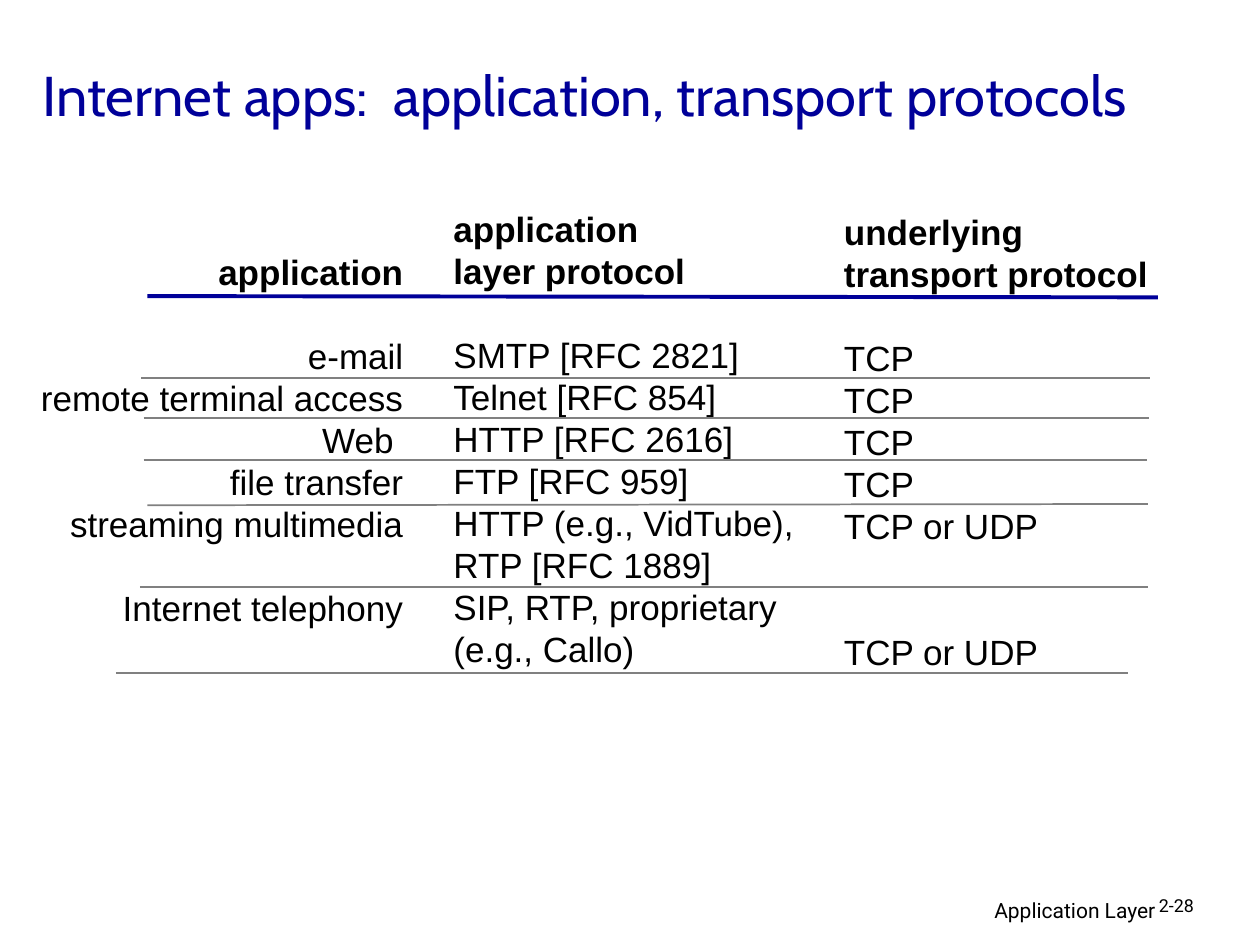
from collections import namedtuple
from dataclasses import dataclass

from lxml.etree import SubElement
from pptx import Presentation
from pptx.dml.color import RGBColor
from pptx.enum.shapes import MSO_CONNECTOR as Connector
from pptx.enum.text import MSO_ANCHOR as Anchor, PP_ALIGN as Align
from pptx.oxml.ns import qn
from pptx.util import Inches, Pt

Box = namedtuple("Box", "left top width height")
Column = namedtuple("Column", "left top width align lines")
Line = namedtuple("Line", "text bold gap", defaults=(False, 0))


@dataclass(frozen=True)
class Theme:
    navy: RGBColor = RGBColor(0x00, 0x00, 0x99)
    black: RGBColor = RGBColor(0x00, 0x00, 0x00)
    gray: RGBColor = RGBColor(0x80, 0x80, 0x80)
    title_font: str = "Cabin"
    body_font: str = "Arial"
    footer_font: str = "Roboto"
    title_size: float = 32
    body_size: float = 20
    body_leading: float = 24
    footer_size: float = 12
    number_size: float = 10.2
    header_rule: float = 2.25
    row_rule: float = 1


THEME = Theme()

COLUMNS = [
    Column(0, 0.34, 3.17, Align.RIGHT, [
        Line("application", True),
        Line("e-mail", gap=1),
        Line("remote terminal access"),
        Line("Web "),
        Line("file transfer"),
        Line("streaming multimedia"),
        Line("Internet telephony", gap=1),
    ]),
    Column(3.37, 0, 3.09, Align.LEFT, [
        Line("application", True),
        Line("layer protocol", True),
        Line("SMTP [RFC 2821]", gap=1),
        Line("Telnet [RFC 854]"),
        Line("HTTP [RFC 2616]"),
        Line("FTP [RFC 959]"),
        Line("HTTP (e.g., VidTube), \vRTP [RFC 1889]"),
        Line("SIP, RTP, proprietary"),
        Line("(e.g., Callo)"),
    ]),
    Column(6.47, 0.02, 2.87, Align.LEFT, [
        Line("underlying", True),
        Line("transport protocol", True),
        Line("TCP", gap=1),
        Line("TCP"),
        Line("TCP"),
        Line("TCP"),
        Line("TCP or UDP"),
        Line("TCP or UDP", gap=2),
    ]),
]

HEADER_RULE = (1.04, 0.75, 9.06, 0.76)
ROW_RULES = [
    (0.99, 1.4, 9, 1.4),
    (1.01, 1.72, 8.99, 1.72),
    (1.01, 2.05, 8.97, 2.05),
    (1.04, 2.41, 8.98, 2.4),
    (0.98, 3.06, 8.98, 3.06),
    (0.79, 3.74, 8.82, 3.74),
]


def add_text(page, box, lines, *, font, size, color=THEME.black,
             align=Align.LEFT, anchor=Anchor.TOP, spacing=None):
    frame = page.shapes.add_textbox(*map(Inches, box)).text_frame
    frame.word_wrap = True
    frame.vertical_anchor = anchor
    for index, line in enumerate(lines):
        para = frame.add_paragraph() if index else frame.paragraphs[0]
        para.text = line.text
        para.alignment = align
        para.line_spacing = spacing
        if line.gap:
            para.space_before = Pt(line.gap * THEME.body_leading)
        for span in para.runs:
            span.font.name = font
            span.font.size = Pt(size)
            span.font.bold = line.bold
            span.font.color.rgb = color


def add_rule(page, box, ends, color, weight):
    start_x, start_y, end_x, end_y = ends
    rule = page.shapes.add_connector(
        Connector.STRAIGHT,
        Inches(box.left + start_x), Inches(box.top + start_y),
        Inches(box.left + end_x), Inches(box.top + end_y))
    rule.line.color.rgb = color
    rule.line.width = Pt(weight)
    SubElement(rule._element.spPr, qn("a:effectLst"))


def add_title(page, box):
    add_text(page, box, [Line("Internet apps:  application, transport protocols")],
             font=THEME.title_font, size=THEME.title_size, color=THEME.navy,
             anchor=Anchor.MIDDLE)


def add_protocols(page, box):
    for column in COLUMNS:
        place = Box(box.left + column.left, box.top + column.top,
                    column.width, box.height - column.top)
        add_text(page, place, column.lines, font=THEME.body_font,
                 size=THEME.body_size, align=column.align,
                 spacing=Pt(THEME.body_leading))
    add_rule(page, box, HEADER_RULE, THEME.navy, THEME.header_rule)
    for ends in ROW_RULES:
        add_rule(page, box, ends, THEME.gray, THEME.row_rule)


def add_footer(page, box):
    label = box._replace(width=3.17)
    number = box._replace(left=box.left + 3, width=box.width - 3)
    add_text(page, label, [Line("Application Layer")], font=THEME.footer_font,
             size=THEME.footer_size, align=Align.RIGHT)
    add_text(page, number, [Line("2-28")], font=THEME.footer_font,
             size=THEME.number_size, spacing=0.9)


def main():
    deck = Presentation()
    deck.slide_width, deck.slide_height = Inches(10), Inches(7.5)
    page = deck.slides.add_slide(deck.slide_layouts[6])
    add_footer(page, Box(6.1, 7.07, 3.74, 0.31))
    add_title(page, Box(0.24, 0.29, 9.57, 0.92))
    add_protocols(page, Box(0.13, 1.6, 9.34, 3.77))
    deck.save("out.pptx")


if __name__ == "__main__":
    main()
